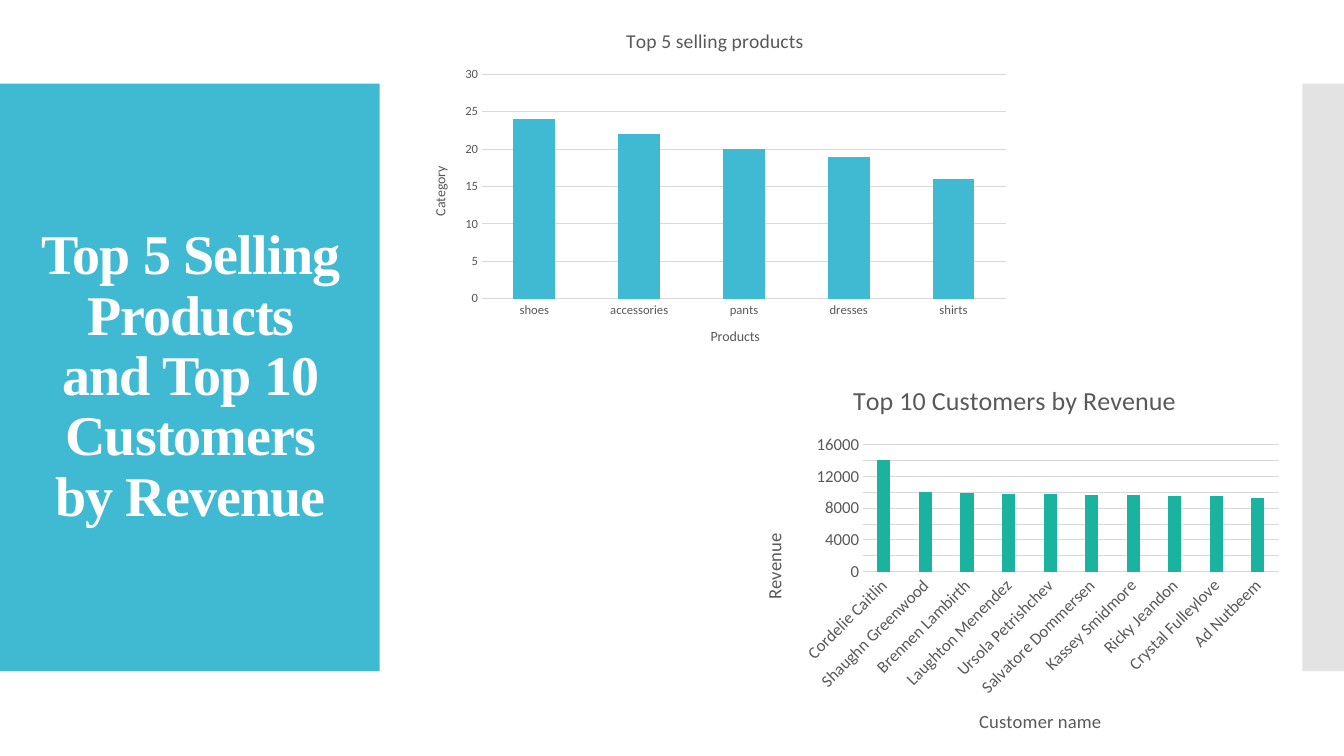
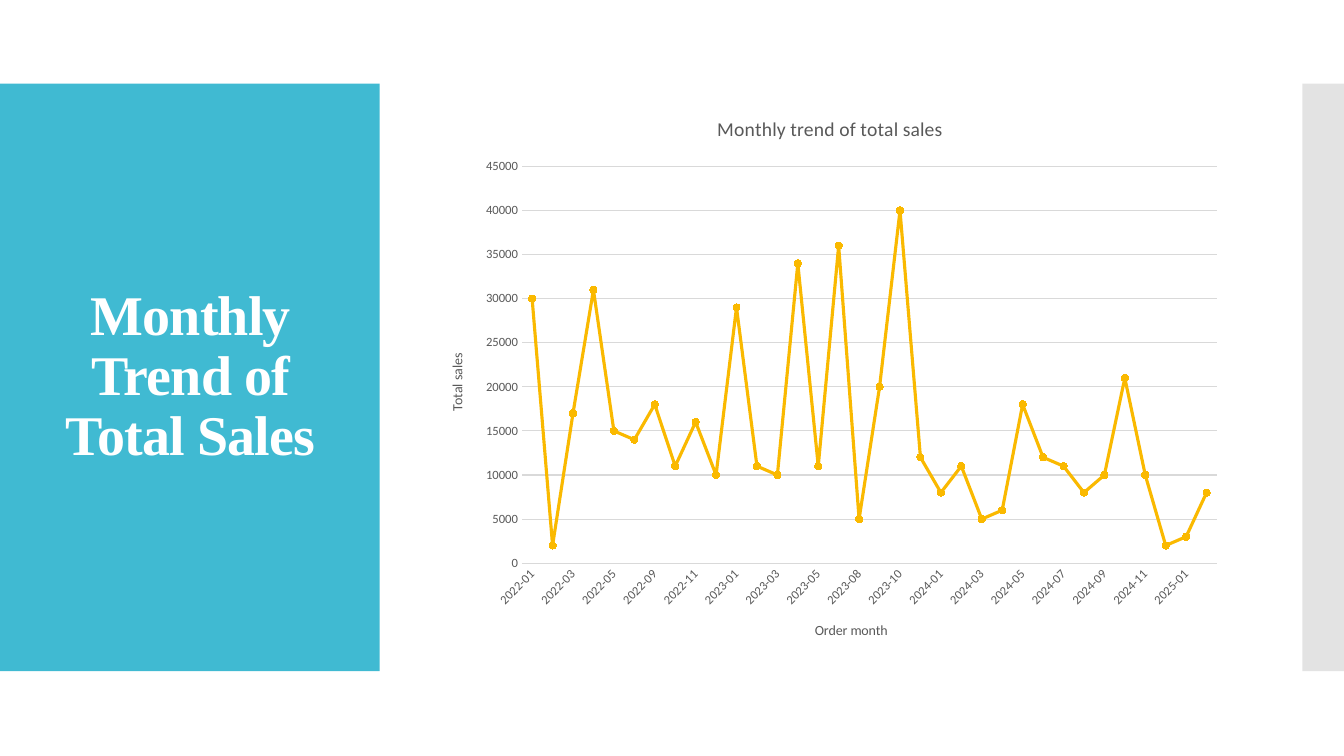
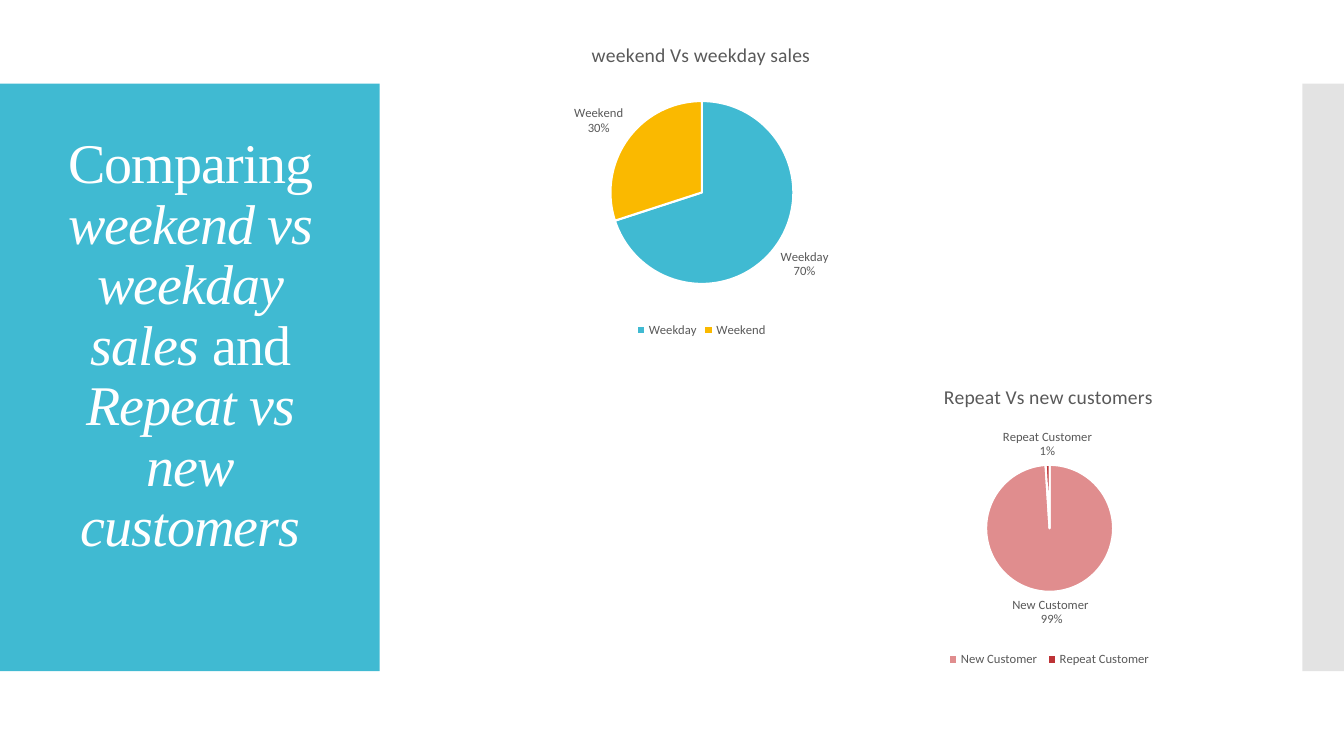
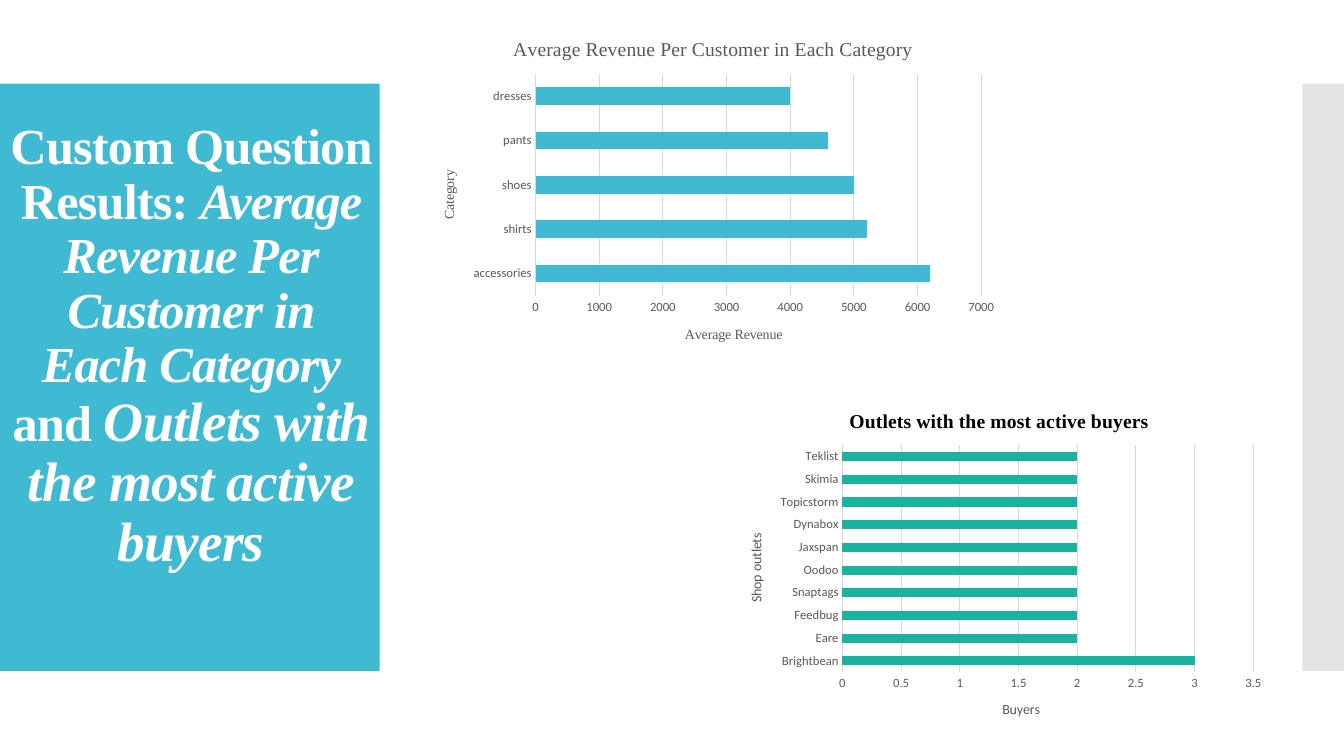
from dataclasses import dataclass
from typing import Optional

from pptx import Presentation
from pptx.chart.data import CategoryChartData
from pptx.dml.color import RGBColor
from pptx.enum.chart import (
    XL_CHART_TYPE,
    XL_LABEL_POSITION,
    XL_LEGEND_POSITION,
    XL_MARKER_STYLE,
    XL_TICK_MARK,
)
from pptx.enum.shapes import MSO_SHAPE
from pptx.enum.text import MSO_ANCHOR, MSO_AUTO_SIZE
from pptx.oxml import parse_xml
from pptx.oxml.ns import nsdecls, qn
from pptx.oxml.xmlchemy import OxmlElement
from pptx.util import Emu, Inches, Pt

COLORS = {
    "white": "FFFFFF",
    "black": "000000",
    "blue": "40BAD2",
    "green": "1AB39F",
    "yellow": "FAB900",
    "pink": "E08D8E",
    "red": "BD3336",
    "band": "C8C8C8",
    "label": "595959",
    "grid": "D9D9D9",
}
COLUMNS, ROWS = 32, 18
CELL = Inches(7.5) // ROWS
SANS, SERIF = "Calibri", "Times New Roman"
TITLE_SIZE = 40
LINE_GAP = 1.56


@dataclass(frozen=True)
class Box:
    column: float
    row: float
    columns: float
    rows: float

    def lengths(self) -> tuple[Emu, Emu, Emu, Emu]:
        values = (self.column, self.row, self.columns, self.rows)
        return tuple(Emu(round(value * CELL)) for value in values)


@dataclass(frozen=True)
class Label:
    text: str
    x_percent: float
    y_percent: float
    size: float = 10
    font: str = SANS
    color: str = "label"
    bold: bool = False


@dataclass(frozen=True)
class ChartSpec:
    kind: XL_CHART_TYPE
    box: Box
    title: Label
    plot_percents: tuple[float, float, float, float]
    categories: list[str]
    values: list[float]
    colors: tuple[str, ...]
    bottom: Optional[Label] = None
    left: Optional[Label] = None
    tick_size: float = 9
    slanted: bool = False
    maximum: Optional[float] = None
    unit: Optional[float] = None
    gap: int = 150
    overlap: int = 100
    base_line: bool = True


@dataclass(frozen=True)
class TitleRun:
    text: str
    bold: bool = False
    italic: bool = False
    size: float = TITLE_SIZE


@dataclass(frozen=True)
class SlideSpec:
    title: list[TitleRun]
    charts: list[ChartSpec]
    title_box: Optional[Box] = None
    raised: bool = False


BANDS = [
    (Box(0, 1.99, 9.04, 13.99), "blue", 100),
    (Box(31.01, 1.99, 0.99, 13.99), "band", 50),
]
TITLE_BOX = Box(0.67, 2.95, 7.73, 12.07)

PRODUCTS = ChartSpec(
    XL_CHART_TYPE.COLUMN_STACKED,
    Box(9.77, 0.29, 14.47, 8.42),
    Label("Top 5 selling products", 34.93, 3.16, 14),
    (11.8, 17.55, 86.2, 63.5),
    ["shoes", "accessories", "pants", "dresses", "shirts"],
    [24, 22, 20, 19, 16],
    ("blue",),
    Label("Products", 49, 88.43),
    Label("Category", 3.01, 42.87),
    maximum=30,
    unit=5,
)
CUSTOMERS = ChartSpec(
    XL_CHART_TYPE.COLUMN_CLUSTERED,
    Box(17.62, 8.71, 13.08, 9.29),
    Label("Top 10 Customers by Revenue", 19.73, 3.08, 18.6),
    (22.4, 20.2, 75.67, 32.6),
    [
        "Cordelie Caitlin", "Shaughn Greenwood", "Brennen Lambirth",
        "Laughton Menendez", "Ursola Petrishchev", "Salvatore Dommersen",
        "Kassey Smidmore", "Ricky Jeandon", "Crystal Fulleylove", "Ad Nutbeem",
    ],
    [14100, 10000, 9900, 9800, 9800, 9700, 9700, 9500, 9500, 9300],
    ("green",),
    Label("Customer name", 42.91, 86.97, 13.3),
    Label("Revenue", 3.27, 41.97, 13.3),
    tick_size=12,
    slanted=True,
    maximum=16000,
    unit=2000,
    gap=219,
    overlap=-27,
)
MONTHLY = ChartSpec(
    XL_CHART_TYPE.LINE_MARKERS_STACKED,
    Box(10.15, 2.26, 19.2, 13.44),
    Label("Monthly trend of total sales", 35.63, 2.94, 14),
    (11.86, 12.67, 86.18, 70.3),
    [
        "2022-01", "2022-02", "2022-03", "2022-04", "2022-05", "2022-07",
        "2022-09", "2022-10", "2022-11", "2022-12", "2023-01", "2023-02",
        "2023-03", "2023-04", "2023-05", "2023-06", "2023-08", "2023-09",
        "2023-10", "2023-11", "2024-01", "2024-02", "2024-03", "2024-04",
        "2024-05", "2024-06", "2024-07", "2024-08", "2024-09", "2024-10",
        "2024-11", "2024-12", "2025-01", "2025-03",
    ],
    [
        30000, 2000, 17000, 31000, 15000, 14000, 18000, 11000, 16000, 10000,
        29000, 11000, 10000, 34000, 11000, 36000, 5000, 20000, 40000, 12000,
        8000, 11000, 5000, 6000, 18000, 12000, 11000, 8000, 10000, 21000,
        10000, 2000, 3000, 8000,
    ],
    ("yellow",),
    Label("Order month", 47.88, 92.82),
    Label("Total sales", 2.38, 45.38),
    slanted=True,
    maximum=45000,
    unit=5000,
)
WEEKENDS = ChartSpec(
    XL_CHART_TYPE.PIE,
    Box(10.2, 0.62, 13, 7.51),
    Label("weekend Vs weekday sales", 29.27, 3.73, 14),
    (33.1, 23.8, 34, 58),
    ["Weekday", "Weekend"],
    [70, 30],
    ("blue", "yellow"),
)
REPEATS = ChartSpec(
    XL_CHART_TYPE.PIE,
    Box(18.98, 8.78, 12, 7.2),
    Label("Repeat Vs new customers", 28.4, 3.68, 14),
    (37.5, 31.7, 25.2, 42.2),
    ["New Customer ", "Repeat Customer"],
    [99, 1],
    ("pink", "red"),
)
AVERAGES = ChartSpec(
    XL_CHART_TYPE.BAR_STACKED,
    Box(10, 0.5, 13.94, 8.16),
    Label("Average Revenue Per Customer in Each Category", 15.32, 3.4, 14, SERIF),
    (19.74, 15.5, 76.13, 64.7),
    ["accessories", "shirts", "shoes", "pants", "dresses"],
    [6200, 5200, 5000, 4600, 4000],
    ("blue",),
    Label("Average Revenue", 44.83, 87.98, font=SERIF),
    Label("Category", 2.97, 42.7, font=SERIF),
    maximum=7000,
    unit=1000,
)
OUTLETS = ChartSpec(
    XL_CHART_TYPE.BAR_STACKED,
    Box(17.3, 9.34, 13.01, 8.26),
    Label("Outlets with the most active buyers", 21.82, 3.56, 14, SERIF, "black", True),
    (21.2, 15.3, 75.2, 65.4),
    [
        "Brightbean", "Eare", "Feedbug", "Snaptags", "Oodoo", "Jaxspan",
        "Dynabox", "Topicstorm", "Skimia", "Teklist",
    ],
    [3] + [2] * 9,
    ("green",),
    Label("Buyers", 50, 88.13),
    Label("Shop outlets", 3.27, 39.85),
    maximum=3.5,
    unit=0.5,
    base_line=False,
)

SLIDES = [
    SlideSpec(
        [TitleRun("Top 5 Selling Products and Top 10 Customers by Revenue", bold=True)],
        [PRODUCTS, CUSTOMERS],
    ),
    SlideSpec([TitleRun("Monthly Trend of Total Sales", bold=True)], [MONTHLY]),
    SlideSpec(
        [
            TitleRun("Comparing "),
            TitleRun("weekend vs weekday sales ", italic=True),
            TitleRun("and "),
            TitleRun("Repeat vs new customers", italic=True),
        ],
        [WEEKENDS, REPEATS],
        raised=True,
    ),
    SlideSpec(
        [
            TitleRun("Custom Question Results: ", True, False, 36),
            TitleRun("Average Revenue Per Customer in Each Category ", True, True, 36),
            TitleRun("and ", True, False, 36),
            TitleRun("Outlets with the most active buyers", True, True, 39.6),
        ],
        [AVERAGES, OUTLETS],
        title_box=Box(0, 2.95, 9.1, 12.07),
        raised=True,
    ),
]


def rgb(name: str) -> RGBColor:
    return RGBColor.from_string(COLORS[name])


def place(shape, box: Box) -> None:
    shape.left, shape.top, shape.width, shape.height = box.lengths()


def style_font(font, size: float, color: str = "label", name: str = SANS) -> None:
    font.size = Pt(size)
    font.name = name
    font.color.rgb = rgb(color)


def style_layout(layout) -> None:
    title = next(shape for shape in layout.placeholders if shape.placeholder_format.idx == 0)
    place(title, TITLE_BOX)
    title.text_frame.vertical_anchor = MSO_ANCHOR.MIDDLE
    title.text_frame.auto_size = MSO_AUTO_SIZE.NONE
    list_style = title.text_frame._txBody.find(qn("a:lstStyle"))
    for level in list(list_style):
        list_style.remove(level)
    list_style.append(parse_xml(
        f'<a:lvl1pPr {nsdecls("a")} algn="ctr"><a:lnSpc><a:spcPct val="90000"/></a:lnSpc>'
        f'<a:defRPr sz="{TITLE_SIZE * 100}" spc="-60"><a:solidFill>'
        f'<a:srgbClr val="{COLORS["white"]}"/></a:solidFill>'
        f'<a:latin typeface="{SERIF}"/></a:defRPr></a:lvl1pPr>'
    ))


def move_bands_to_layout(slide, layout) -> None:
    for position, (box, color, opacity) in enumerate(BANDS, start=2):
        band = slide.shapes.add_shape(MSO_SHAPE.RECTANGLE, *box.lengths())
        band.shadow.inherit = False
        band.fill.solid()
        band.fill.fore_color.rgb = rgb(color)
        band.line.fill.background()
        if opacity < 100:
            alpha = OxmlElement("a:alpha")
            alpha.set("val", str(opacity * 1000))
            band._element.spPr.find(f'{qn("a:solidFill")}/{qn("a:srgbClr")}').append(alpha)
        layout.shapes._spTree.insert(position, band._element)


def set_layout(parent, position: int, inner: bool = False, **percents: float) -> None:
    layout = parent.find(qn("c:layout"))
    if layout is None:
        layout = OxmlElement("c:layout")
        parent.insert(position, layout)
    manual = OxmlElement("c:manualLayout")
    layout.append(manual)
    settings = {"layoutTarget": "inner"} if inner else {}
    settings |= {"xMode": "edge", "yMode": "edge"}
    settings |= {name: percent / 100 for name, percent in percents.items()}
    for name, value in settings.items():
        element = OxmlElement(f"c:{name}")
        element.set("val", str(value))
        manual.append(element)


def write_label(title, label: Label, vertical: bool = False) -> None:
    run = title.text_frame.paragraphs[0].add_run()
    run.text = label.text
    style_font(run.font, label.size, label.color, label.font)
    run.font.bold = label.bold
    if vertical:
        body = title.text_frame._txBody.bodyPr
        body.set("rot", "-5400000")
        body.set("vert", "horz")
    set_layout(title._element, 1, x=label.x_percent, y=label.y_percent)


def style_axes(chart, spec: ChartSpec) -> None:
    category, value = chart.category_axis, chart.value_axis
    for axis in (category, value):
        axis.major_tick_mark = axis.minor_tick_mark = XL_TICK_MARK.NONE
        style_font(axis.tick_labels.font, spec.tick_size)
        axis.format.line.fill.background()
    category.has_major_gridlines = False
    value.has_major_gridlines = True
    value.minimum_scale, value.maximum_scale = 0, spec.maximum
    value.major_unit = spec.unit
    lines = [value.major_gridlines.format.line]
    if spec.base_line:
        lines.append(category.format.line)
    for line in lines:
        line.color.rgb = rgb("grid")
        line.width = Pt(0.75)
    if spec.slanted:
        category._element.find(f'{qn("c:txPr")}/{qn("a:bodyPr")}').set("rot", "-2700000")
    horizontal = spec.kind == XL_CHART_TYPE.BAR_STACKED
    bottom, left = (value, category) if horizontal else (category, value)
    write_label(bottom.axis_title, spec.bottom)
    write_label(left.axis_title, spec.left, vertical=True)


def style_pie(chart, spec: ChartSpec) -> None:
    plot = chart.plots[0]
    for index, color in enumerate(spec.colors):
        point = plot.series[0].points[index].format
        point.fill.solid()
        point.fill.fore_color.rgb = rgb(color)
        point.line.color.rgb = rgb("white")
        point.line.width = Pt(1.5)
    plot.has_data_labels = True
    labels = plot.data_labels
    labels.show_category_name = labels.show_percentage = True
    labels.show_value = False
    labels.position = XL_LABEL_POSITION.OUTSIDE_END
    style_font(labels.font, 9)
    separator = OxmlElement("c:separator")
    separator.text = "\n"
    labels._element.find(qn("c:showBubbleSize")).addnext(separator)
    chart.has_legend = True
    chart.legend.position = XL_LEGEND_POSITION.BOTTOM
    chart.legend.include_in_layout = False
    style_font(chart.legend.font, 9)


def style_series(chart, spec: ChartSpec) -> None:
    plot = chart.plots[0]
    plot.vary_by_categories = False
    series = plot.series[0]
    color = rgb(spec.colors[0])
    if spec.kind == XL_CHART_TYPE.LINE_MARKERS_STACKED:
        series.smooth = False
        series.format.line.color.rgb = color
        series.format.line.width = Pt(2.25)
        series.marker.style = XL_MARKER_STYLE.CIRCLE
        series.marker.size = 5
        series.marker.format.fill.solid()
        series.marker.format.fill.fore_color.rgb = color
        series.marker.format.line.color.rgb = color
    else:
        plot.gap_width, plot.overlap = spec.gap, spec.overlap
        series.format.fill.solid()
        series.format.fill.fore_color.rgb = color


def draw_chart(slide, spec: ChartSpec) -> None:
    data = CategoryChartData()
    data.categories = spec.categories
    data.add_series("Series 1", spec.values)
    chart = slide.shapes.add_chart(spec.kind, *spec.box.lengths(), data).chart
    style_font(chart.font, 10, "black")
    chart.has_legend = False
    chart.has_title = True
    write_label(chart.chart_title, spec.title)
    plot_area = chart._chartSpace.chart.plotArea
    set_layout(plot_area, 0, inner=True, **dict(zip("xywh", spec.plot_percents)))
    if spec.kind == XL_CHART_TYPE.PIE:
        style_pie(chart, spec)
    else:
        style_series(chart, spec)
        style_axes(chart, spec)


def write_title(title, spec: SlideSpec) -> None:
    if spec.title_box:
        place(title, spec.title_box)
    if spec.raised:
        title.text_frame.margin_bottom = Emu(round(LINE_GAP * CELL))
    paragraph = title.text_frame.paragraphs[0]
    for part in spec.title:
        run = paragraph.add_run()
        run.text = part.text
        run.font.bold, run.font.italic = part.bold, part.italic
        if part.size != TITLE_SIZE:
            run.font.size = Pt(part.size)


def main() -> None:
    presentation = Presentation()
    presentation.slide_width = Emu(COLUMNS * CELL)
    presentation.slide_height = Emu(ROWS * CELL)
    layout = presentation.slide_layouts[5]
    style_layout(layout)
    for spec in SLIDES:
        slide = presentation.slides.add_slide(layout)
        write_title(slide.shapes.title, spec)
        for chart in spec.charts:
            draw_chart(slide, chart)
    move_bands_to_layout(presentation.slides[0], layout)
    presentation.save("out.pptx")


if __name__ == "__main__":
    main()
